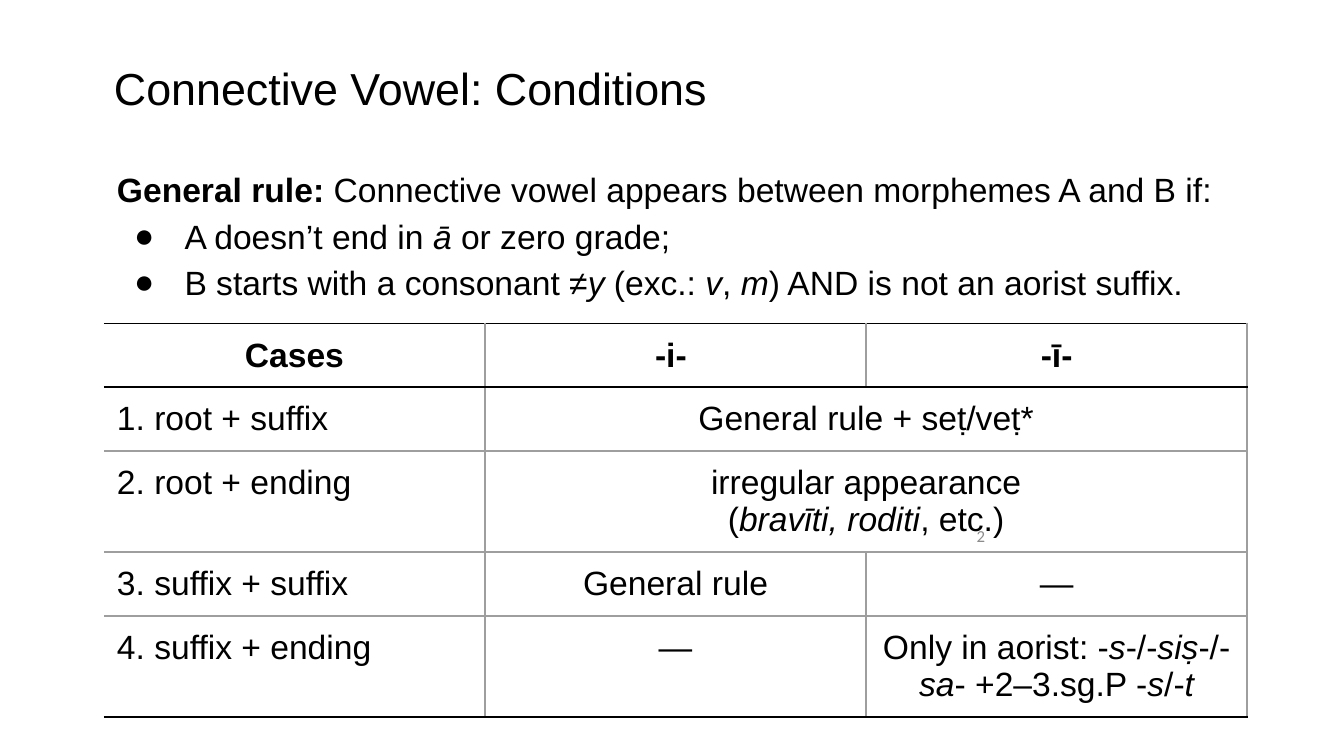
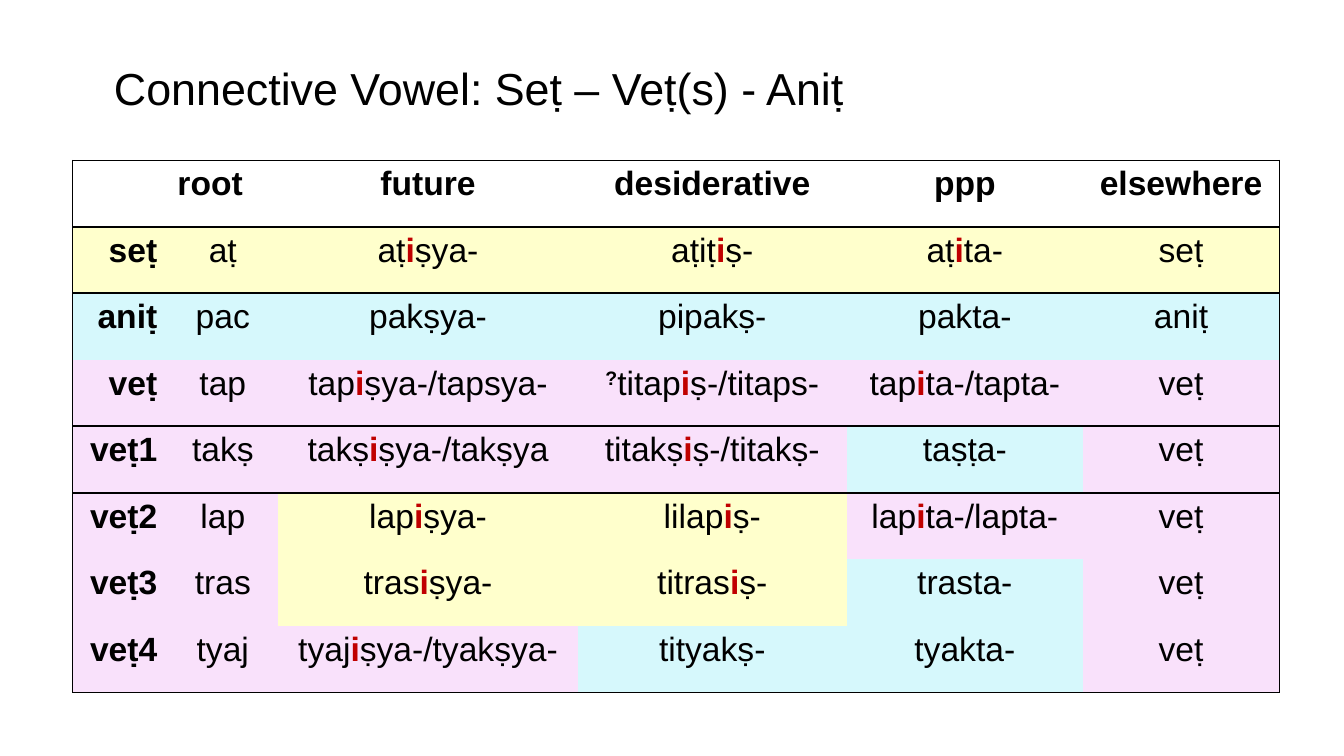
from lxml import etree
from pptx import Presentation
from pptx.dml.color import RGBColor
from pptx.enum.text import MSO_ANCHOR, MSO_AUTO_SIZE, PP_ALIGN
from pptx.oxml.ns import qn
from pptx.util import Inches, Pt

LEFT, CENTER, RIGHT = PP_ALIGN.LEFT, PP_ALIGN.CENTER, PP_ALIGN.RIGHT
TOP, MIDDLE = MSO_ANCHOR.TOP, MSO_ANCHOR.MIDDLE
NO_AUTOFIT = MSO_AUTO_SIZE.NONE
TITLE_AND_BODY, TITLE_ONLY = 1, 5

BLACK, GRAY, MUTED, RED = "000000", "9E9E9E", "8C8C8C", "C00000"
CLASS_FILLS = {"s": "FFFFCC", "a": "D6F8FC", "v": "F9E1FB"}
NO_TABLE_STYLE = "{2D5ABB26-0587-4C30-8999-92F81FD0307C}"
ITALIC = {"italic": True}
CONNECTIVE = {"bold": True, "color": RED}
SUPERSCRIPT = {"bold": True, "baseline": 30}

RULE_ROWS = [
    ["Cases", "-i- ", "-ī-"],
    ["1. root + suffix", "General rule + seṭ/veṭ*", None],
    ["2. root + ending", "irregular appearance\n(_bravīti, roditi_, etc.)", None],
    ["3. suffix + suffix", "General rule", "—"],
    ["4. suffix + ending", "—", "Only in aorist: -_s_-/-_siṣ_-/-_sa_- +2–3.sg.P -_s_/-_t_"],
]

# Each root row begins with the fill class of its six cells
ROOT_HEADER = ["", "root", "future", "desiderative", "ppp", "elsewhere"]
ROOT_ROWS = [
    ("ssssss", "seṭ", "aṭ", "aṭ_i_ṣya-", "aṭiṭ_i_ṣ-", "aṭ_i_ta-", "seṭ"),
    ("aaaaaa", "aniṭ", "pac", "pakṣya-", "pipakṣ-", "pakta-", "aniṭ"),
    ("vvvvvv", "veṭ", "tap", "tap_i_ṣya-/tapsya-", "_^?_titap_i_ṣ-/titaps-",
     "tap_i_ta-/tapta-", "veṭ"),
    ("vvvvav", "veṭ1", "takṣ", "takṣ_i_ṣya-/takṣya", "titakṣ_i_ṣ-/titakṣ-", "taṣṭa-", "veṭ"),
    ("vvssvv", "veṭ2", "lap", "lap_i_ṣya-", "lilap_i_ṣ-", "lap_i_ta-/lapta-", "veṭ"),
    ("vvssav", "veṭ3", "tras", "tras_i_ṣya-", "titras_i_ṣ-", "trasta-", "veṭ"),
    ("vvvaav", "veṭ4", "tyaj", "tyaj_i_ṣya-/tyakṣya-", "tityakṣ-", "tyakta-", "veṭ"),
]


def rgb(value):
    return RGBColor.from_string(value)


# Text
def add_run(paragraph, text, size=24, font="Arial", color=BLACK,
            bold=False, italic=False, baseline=0):
    run = paragraph.add_run()
    run.text = text
    run.font.name = font
    run.font.size = Pt(size)
    run.font.bold = bold
    run.font.italic = italic
    run.font.color.rgb = rgb(color)
    if baseline:
        run._r.get_or_add_rPr().set("baseline", str(baseline * 1000))


def write_text(paragraph, text, align=LEFT, emphasis=ITALIC, **style):
    """Write text; _marked_ parts take the emphasis and _^marked_ parts are raised."""
    paragraph.alignment = align
    for index, part in enumerate(text.split("_")):
        if not part:
            continue
        marked = index % 2 == 1
        raised = marked and part.startswith("^")
        extra = SUPERSCRIPT if raised else emphasis if marked else {}
        add_run(paragraph, part[1:] if raised else part, **{**style, **extra})


def set_bullet(paragraph, char=None, margin=0.0, hanging=0.0):
    properties = paragraph._p.get_or_add_pPr()
    properties.set("marL", str(Inches(margin)))
    properties.set("indent", str(-Inches(hanging)))
    if char:
        etree.SubElement(properties, qn("a:buFont")).set("typeface", "Arial")
        etree.SubElement(properties, qn("a:buChar")).set("char", char)
    else:
        etree.SubElement(properties, qn("a:buNone"))


def place_text(shape, left, top, width, height, inset=(0.1, 0.05), anchor=TOP):
    shape.left, shape.top = Inches(left), Inches(top)
    shape.width, shape.height = Inches(width), Inches(height)
    frame = shape.text_frame
    frame.word_wrap = True
    frame.auto_size = NO_AUTOFIT
    frame.vertical_anchor = anchor
    frame.margin_left = frame.margin_right = Inches(inset[0])
    frame.margin_top = frame.margin_bottom = Inches(inset[1])
    return frame


def add_titled_slide(prs, layout, title):
    slide = prs.slides.add_slide(prs.slide_layouts[layout])
    frame = place_text(slide.shapes.title, 1.03, 0.55, 11.66, 0.64)
    write_text(frame.paragraphs[0], title, size=32)
    return slide


def add_page_number(slide, number):
    box = slide.shapes.add_textbox(0, 0, 0, 0)
    frame = place_text(box, 9.27, 5.1, 0.6, 0.43, anchor=MIDDLE)
    write_text(frame.paragraphs[0], number, align=RIGHT, size=12, font="Calibri", color=MUTED)


# Tables
def set_borders(cell, borders):
    """Borders map a side (L, R, T, B) to its colour and width."""
    properties = cell._tc.get_or_add_tcPr()
    for side in "LRTB":
        if side not in borders:
            continue
        color, width = borders[side]
        line = etree.SubElement(properties, qn("a:ln" + side))
        line.set("w", str(Pt(width)))
        fill = etree.SubElement(line, qn("a:solidFill"))
        etree.SubElement(fill, qn("a:srgbClr")).set("val", color)


def add_plain_table(slide, left, top, widths, heights):
    frame = slide.shapes.add_table(
        len(heights), len(widths), Inches(left), Inches(top),
        Inches(sum(widths)), Inches(sum(heights)))
    table = frame.table
    table.first_row = table.horz_banding = False
    table._tbl.tblPr.find(qn("a:tableStyleId")).text = NO_TABLE_STYLE
    for column, width in zip(table.columns, widths):
        column.width = Inches(width)
    for row, height in zip(table.rows, heights):
        row.height = Inches(height)
    return table


def fill_cell(cell, text, borders, inset=(0.1, 0.05), fill=None, **style):
    cell.margin_left = cell.margin_right = Inches(inset[0])
    cell.margin_top = cell.margin_bottom = Inches(inset[1])
    set_borders(cell, borders)
    if fill:
        cell.fill.solid()
        cell.fill.fore_color.rgb = rgb(fill)
    else:
        cell.fill.background()
    for index, line in enumerate(text.split("\n")):
        frame = cell.text_frame
        paragraph = frame.add_paragraph() if index else frame.paragraphs[0]
        write_text(paragraph, line, **style)


# Slides
def write_general_rule(slide):
    frame = place_text(slide.placeholders[1], 1.03, 1.49, 11.86, 1.46, inset=(0.13, 0.13))
    intro = frame.paragraphs[0]
    set_bullet(intro)
    write_text(intro, "General rule:", bold=True)
    write_text(intro, " Connective vowel appears between morphemes A and B if:")
    for condition in (
        "A doesn’t end in _ā_ or zero grade;",
        "B starts with a consonant ≠_y_ (exc.: _v_, _m_) AND is not an aorist suffix.",
    ):
        paragraph = frame.add_paragraph()
        set_bullet(paragraph, "●", margin=0.67, hanging=0.5)
        write_text(paragraph, condition)
    for paragraph in frame.paragraphs:
        paragraph.line_spacing = 1.15
        paragraph.space_before = Pt(0)


def add_rule_table(slide):
    table = add_plain_table(slide, 1.03, 3.21, [3.78] * 3, [0.62, 0.62, 1, 0.62, 1])
    last = len(RULE_ROWS) - 1
    for r, row in enumerate(RULE_ROWS):
        if row[2] is None:
            table.cell(r, 1).merge(table.cell(r, 2))
        for c, text in enumerate(row):
            borders = {
                "R": (GRAY, 1.5),
                "T": (BLACK if r <= 1 else GRAY, 1.5),
                "B": (BLACK if r in (0, last) else GRAY, 1.5),
            }
            if c and text is not None:
                borders["L"] = (GRAY, 1.5)
            fill_cell(table.cell(r, c), text or "", borders, inset=(0.13, 0.13),
                      bold=r == 0, align=CENTER if r == 0 or c else LEFT)


def add_root_table(slide):
    rows = [("", *ROOT_HEADER)] + ROOT_ROWS
    widths = [0.94, 1.1, 2.97, 2.67, 2.34, 1.95]
    table = add_plain_table(slide, 0.72, 1.59, widths, [0.66] * len(rows))
    last_row, last_column = len(rows) - 1, len(widths) - 1
    outline, rule = (BLACK, 0.75), (BLACK, 1.5)
    ruled_rows = (0, 3)
    for r, (classes, *texts) in enumerate(rows):
        for c, text in enumerate(texts):
            borders = {}
            if c == 0:
                borders["L"] = outline
            if c == last_column:
                borders["R"] = outline
            if r == 0:
                borders["T"] = outline
            elif r - 1 in ruled_rows:
                borders["T"] = rule
            if r == last_row:
                borders["B"] = outline
            elif r in ruled_rows:
                borders["B"] = rule
            if r == 0 and c == 1:
                align = LEFT
            else:
                align = CENTER if c else RIGHT
            fill_cell(table.cell(r, c), text, borders, align=align, emphasis=CONNECTIVE,
                      fill=CLASS_FILLS[classes[c]] if classes else None,
                      bold=r == 0 or c == 0)


def main():
    prs = Presentation()
    prs.slide_width, prs.slide_height = Inches(13.33), Inches(7.5)

    conditions = add_titled_slide(prs, TITLE_AND_BODY, "Connective Vowel: Conditions")
    write_general_rule(conditions)
    add_page_number(conditions, "2")
    add_rule_table(conditions)

    root_classes = add_titled_slide(prs, TITLE_ONLY, "Connective Vowel: Seṭ – Veṭ(s) - Aniṭ")
    add_root_table(root_classes)

    prs.save("out.pptx")


if __name__ == "__main__":
    main()
